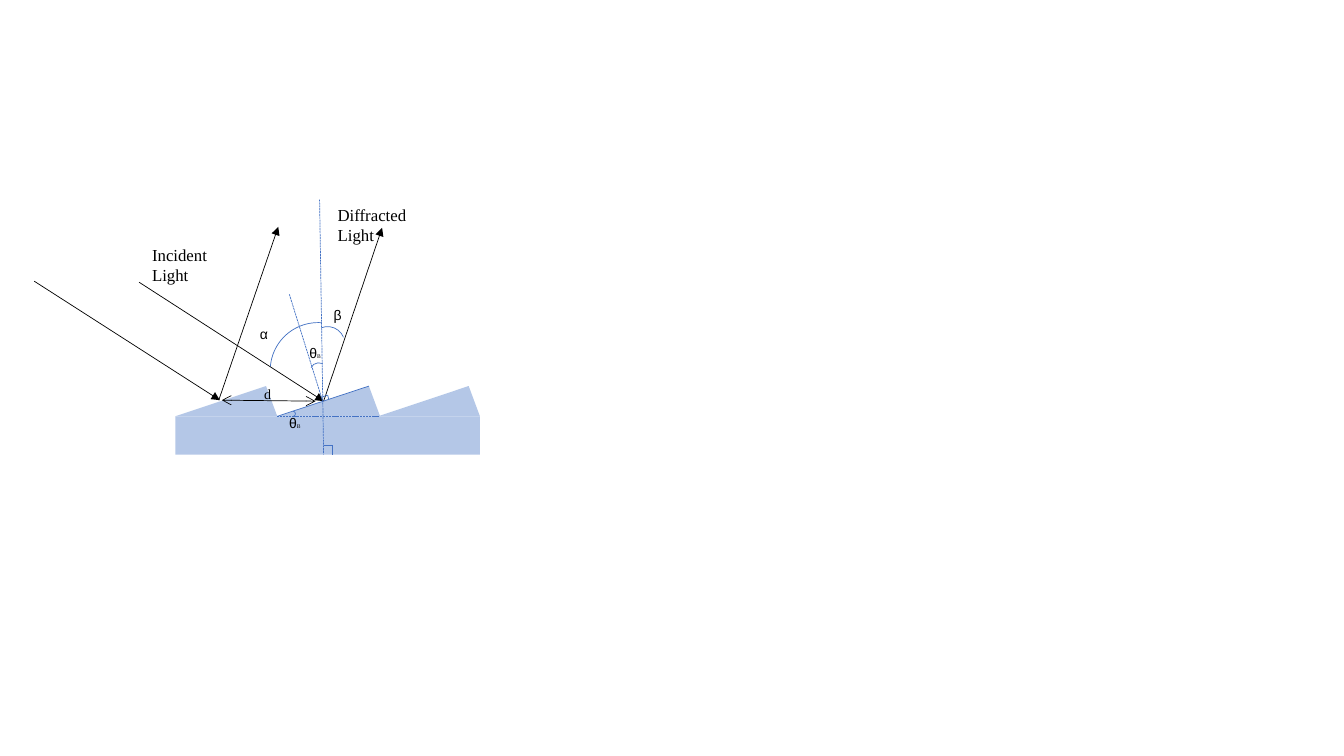
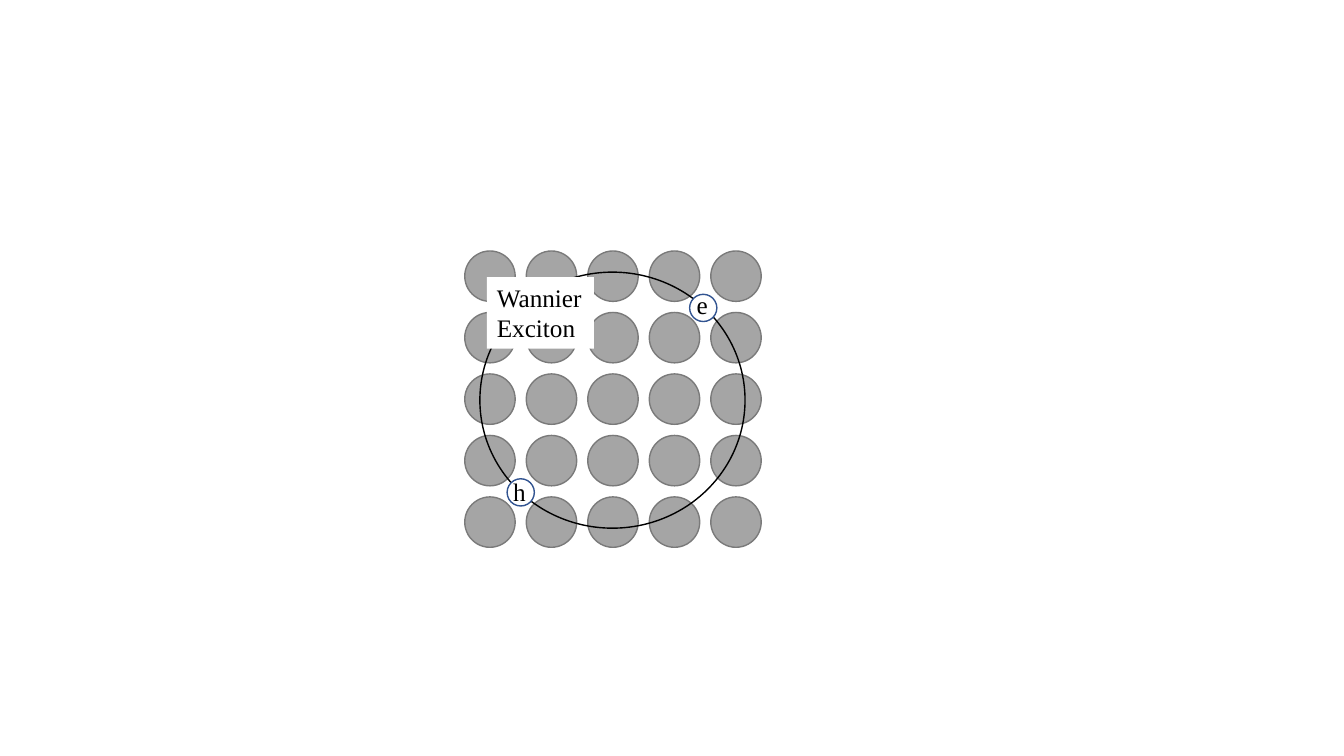
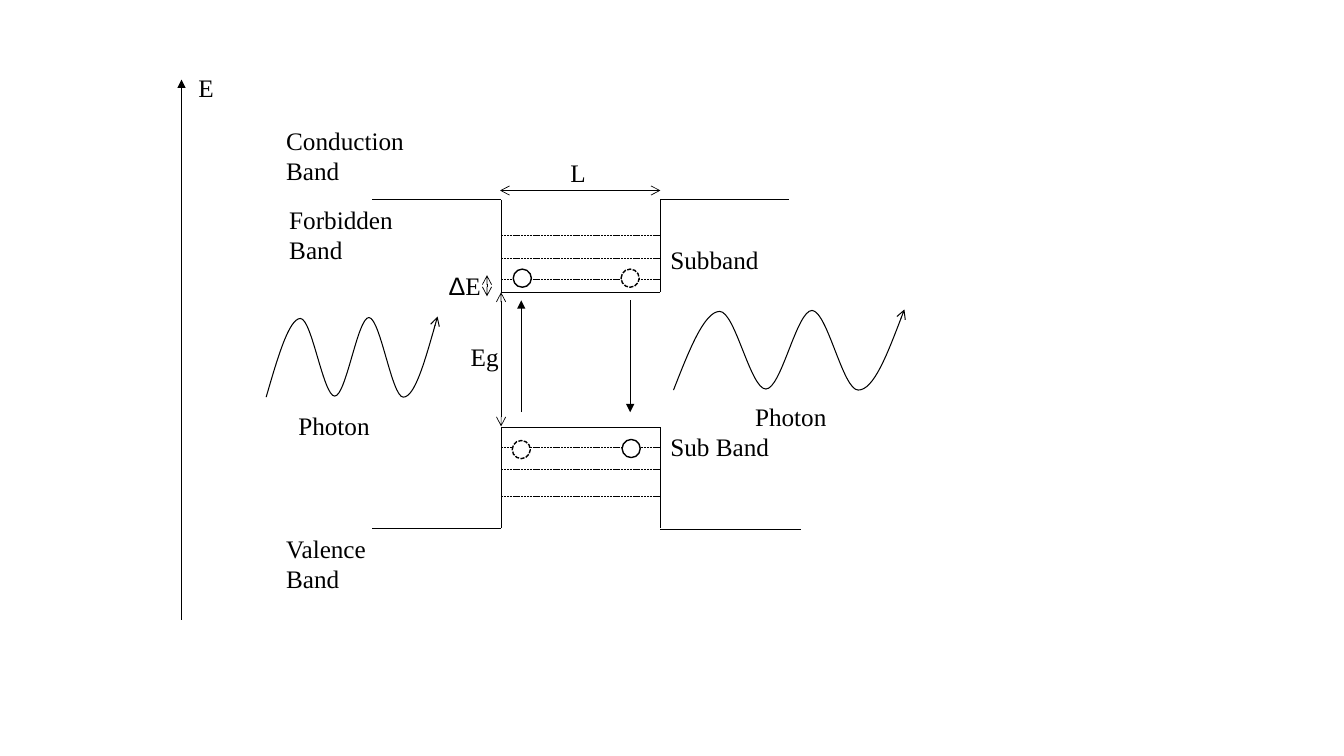
"""Three physics diagrams: a blazed grating, a Wannier exciton and quantum well subbands."""
from lxml.etree import SubElement
from pptx import Presentation
from pptx.dml.color import RGBColor
from pptx.enum.dml import MSO_LINE
from pptx.enum.shapes import MSO_CONNECTOR, MSO_SHAPE
from pptx.enum.text import MSO_AUTO_SIZE
from pptx.oxml.ns import qn
from pptx.util import Inches, Pt

BLACK, WHITE, BLUE = "000000", "FFFFFF", "4472C4"
PALE_BLUE, NAVY, GREY, DARK_GREY = "B4C7E7", "325491", "A5A5A5", "7A7A7A"

BODY = {"name": "Times New Roman", "size": Pt(18)}
DELTA = {"name": "Arial", "size": Pt(18)}
CAPTION = {"name": "Times New Roman", "size": Pt(12)}
SPACING = {"name": "Times New Roman", "size": Pt(10)}
GREEK = {"name": "Arial", "size": Pt(10)}
SUBSCRIPT = {"name": "Times New Roman", "size": Pt(4)}

SOLID = {"stroke": BLACK}
DASHED = {"stroke": BLACK, "dash": True}
ARROW = {"stroke": BLACK, "tail": "triangle"}
SPAN = {"stroke": BLACK, "head": "arrow", "tail": "arrow"}
GUIDE = {"stroke": BLUE}
DASHED_GUIDE = {"stroke": BLUE, "dash": True}


def style(item, fill=None, stroke=None, weight=0.5, dash=False, head=None, tail=None):
    """Set fill, outline and arrowheads, and drop the shadow."""
    if fill:
        item.fill.solid()
        item.fill.fore_color.rgb = RGBColor.from_string(fill)
    elif hasattr(item, "fill"):
        item.fill.background()
    if stroke:
        item.line.color.rgb = RGBColor.from_string(stroke)
        item.line.width = Pt(weight)
        if dash:
            item.line.dash_style = MSO_LINE.SQUARE_DOT
        for end, arrowhead in (("a:headEnd", head), ("a:tailEnd", tail)):
            if arrowhead:
                SubElement(item.line._get_or_add_ln(), qn(end), type=arrowhead)
    else:
        item.line.fill.background()
    SubElement(item._element.spPr, qn("a:effectLst"))


def label(slide, left, top, *lines, width=1.39, height=0.4):
    """Add a text box; each line is a list of (text, format) runs."""
    box = slide.shapes.add_textbox(Inches(left), Inches(top), Inches(width), Inches(height))
    frame = box.text_frame
    frame.word_wrap = True
    frame.auto_size = MSO_AUTO_SIZE.SHAPE_TO_FIT_TEXT
    for index, runs in enumerate(lines):
        paragraph = frame.add_paragraph() if index else frame.paragraphs[0]
        for text, font_format in runs:
            run = paragraph.add_run()
            run.text = text
            run.font.color.rgb = RGBColor.from_string(BLACK)
            for attribute, value in font_format.items():
                setattr(run.font, attribute, value)
    return box


deck = Presentation()
deck.slide_width, deck.slide_height = Inches(13.33), Inches(7.5)
grating, exciton, well = [deck.slides.add_slide(deck.slide_layouts[6]) for _ in range(3)]

base = grating.shapes.add_shape(
    MSO_SHAPE.RECTANGLE, Inches(1.74), Inches(4.13), Inches(3.02), Inches(0.38))
style(base, PALE_BLUE)
for left in (1.74, 2.76, 3.75):
    tooth = grating.shapes.add_shape(
        MSO_SHAPE.ISOSCELES_TRIANGLE, Inches(left), Inches(3.83), Inches(1.01), Inches(0.3))
    tooth.adjustments[0] = 0.89
    style(tooth, PALE_BLUE)

angles = [
    (2.88, 4.08, 0.05, 0.05, 0, 47.69),
    (3.09, 3.59, 0.16, 0.18, 291.7, 0),
    (2.68, 3.2, 0.95, 0.95, 274.5, 0),
    (3.08, 3.24, 0.34, 0.34, 338, 0),
]
for left, top, width, height, rotation, sweep_end in angles:
    angle = grating.shapes.add_shape(
        MSO_SHAPE.ARC, Inches(left), Inches(top), Inches(width), Inches(height))
    angle.adjustments[0] = 162
    angle.adjustments[1] = sweep_end
    angle.rotation = rotation
    style(angle, **GUIDE)

grating_lines = [
    (1.38, 2.8, 3.21, 3.98, ARROW),
    (0.34, 2.79, 2.18, 3.97, ARROW),
    (3.21, 3.98, 3.79, 2.26, ARROW),
    (2.17, 3.97, 2.76, 2.25, ARROW),
    (2.2, 3.97, 3.13, 3.98, SPAN),
    (3.17, 1.98, 3.21, 4.51, DASHED_GUIDE),
    (2.87, 2.92, 3.2, 3.98, DASHED_GUIDE),
    (2.75, 4.13, 3.77, 4.13, DASHED_GUIDE),
    (2.75, 4.13, 3.66, 3.83, GUIDE),
    (3.19, 3.94, 3.25, 3.92, GUIDE),
    (3.26, 3.96, 3.25, 3.92, GUIDE),
    (3.3, 4.42, 3.3, 4.51, GUIDE),
    (3.3, 4.42, 3.21, 4.42, GUIDE),
]
well_left, well_right = 4.97, 6.55
well_lines = [
    (3.69, 1.98, well_left, 1.98, SOLID),
    (3.69, 5.24, well_left, 5.24, SOLID),
    (well_right, 1.98, 7.83, 1.98, SOLID),
    (well_right, 5.25, 7.94, 5.25, SOLID),
    (1.8, 6.15, 1.8, 0.79, ARROW),
    (6.25, 2.98, 6.25, 4.09, ARROW),
    (5.17, 4.09, 5.17, 2.98, ARROW),
    (well_left, 4.23, well_left, 2.9, SPAN),
    (4.83, 2.94, 4.83, 2.73, SPAN),
    (4.96, 1.89, well_right, 1.89, SPAN),
]
for wall in (well_left, well_right):
    well_lines += [(wall, 1.98, wall, 2.9, SOLID), (wall, 4.24, wall, 5.24, SOLID)]
for level in (2.9, 4.24):
    well_lines.append((well_left, level, well_right, level, SOLID))
for level in (2.34, 2.56, 2.77, 4.44, 4.66, 4.92):
    well_lines.append((well_left, level, well_right, level, DASHED))

for slide, lines in ((grating, grating_lines), (well, well_lines)):
    for *ends, look in lines:
        line = slide.shapes.add_connector(MSO_CONNECTOR.STRAIGHT, *map(Inches, ends))
        style(line, **look)

theta = [("θ", GREEK), ("B", SUBSCRIPT)]
for left, top, symbol in [
    (2.77, 4.06, theta),
    (2.97, 3.37, theta),
    (2.48, 3.18, [("α", GREEK)]),
    (3.21, 2.99, [("β", GREEK)]),
    (2.52, 3.78, [("d", SPACING)]),
]:
    label(grating, left, top, symbol, height=0.27)
for left, top, light in ((1.41, 2.38, "Incident"), (3.25, 1.98, "Diffracted")):
    label(grating, left, top, [(light, CAPTION)], [("Light", CAPTION)], height=0.5)

pitch = 0.61
atoms = [(4.61 + pitch * column, 2.49 + pitch * row, 0.5, 0.5, GREY, DARK_GREY)
         for column in range(5) for row in range(5)]
orbit = (4.76, 2.7, 2.63, 2.54, None, BLACK)
carriers = [(6.84, 2.92, 0.27, 0.27, WHITE, NAVY), (5.03, 4.75, 0.27, 0.27, WHITE, NAVY)]
for *box, fill, stroke in [*atoms, orbit, *carriers]:
    circle = exciton.shapes.add_shape(MSO_SHAPE.OVAL, *map(Inches, box))
    style(circle, fill, stroke, weight=1)
label(exciton, 4.99, 4.68, [("h", BODY)])
label(exciton, 6.81, 2.82, [("e", BODY)])
title = label(exciton, 4.83, 2.75, [("Wannier Exciton", BODY)], width=1.06, height=0.71)
style(title, WHITE)

for left, top, vacant in (
        (6.16, 2.67, True), (6.17, 4.36, False), (5.08, 4.37, True), (5.09, 2.67, False)):
    electron = well.shapes.add_shape(
        MSO_SHAPE.OVAL, Inches(left), Inches(top), Inches(0.18), Inches(0.18))
    style(electron, WHITE, BLACK, weight=1, dash=vacant)

wave_depths = [0.8, 0.41, 0.02, 0.02, 0.02, 0.79, 0.79, 0.79,
               0.01, 0.01, 0.02, 0.8, 0.8, 0.8, 0.4, 0]
for left, top, width in ((2.64, 3.14, 1.7), (6.68, 3.07, 2.29)):
    step = width / (len(wave_depths) - 1)
    points = [(Inches(left + step * index), Inches(top + depth))
              for index, depth in enumerate(wave_depths)]
    builder = well.shapes.build_freeform(*points[0])
    builder.add_line_segments(points[1:], close=False)
    photon = builder.convert_to_shape()
    outline = next(photon._element.iter(qn("a:path")))
    segments = outline.findall(qn("a:lnTo"))
    for first in range(0, len(segments), 3):
        curve = SubElement(outline, qn("a:cubicBezTo"))
        for segment in segments[first:first + 3]:
            curve.append(segment[0])
            outline.remove(segment)
    style(photon, stroke=BLACK, weight=0.75, tail="arrow")

for left, top, text in [
    (1.87, 0.67, "E"),
    (6.55, 2.37, "Subband"),
    (6.55, 4.23, "Sub Band"),
    (2.86, 4.02, "Photon"),
    (7.39, 3.93, "Photon"),
    (4.57, 3.34, "Eg"),
    (5.56, 1.51, "L"),
]:
    label(well, left, top, [(text, BODY)])
for left, top, band in (
        (2.74, 1.19, "Conduction"), (2.77, 1.98, "Forbidden"), (2.74, 5.24, "Valence")):
    label(well, left, top, [(f"{band} Band", BODY)], height=0.71)
label(well, 4.35, 2.63, [("Δ", DELTA), ("E", BODY)])

deck.save("out.pptx")
